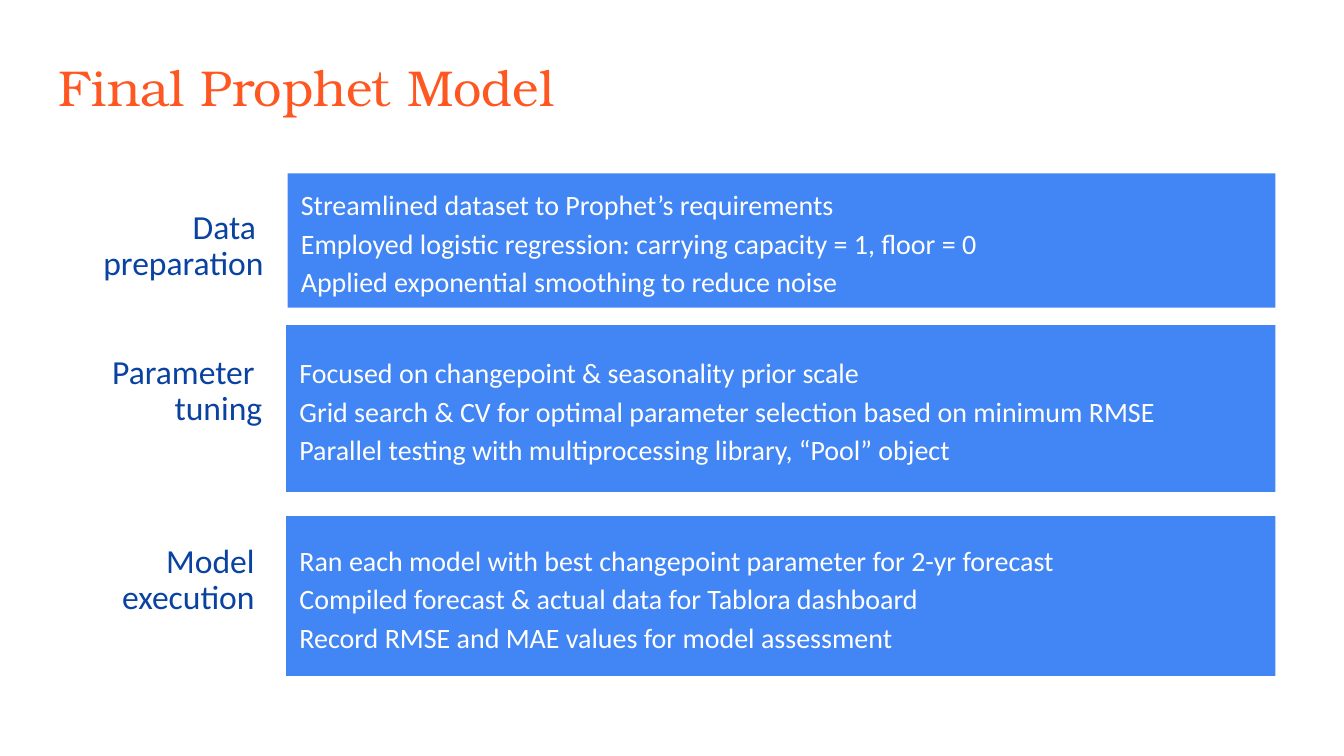
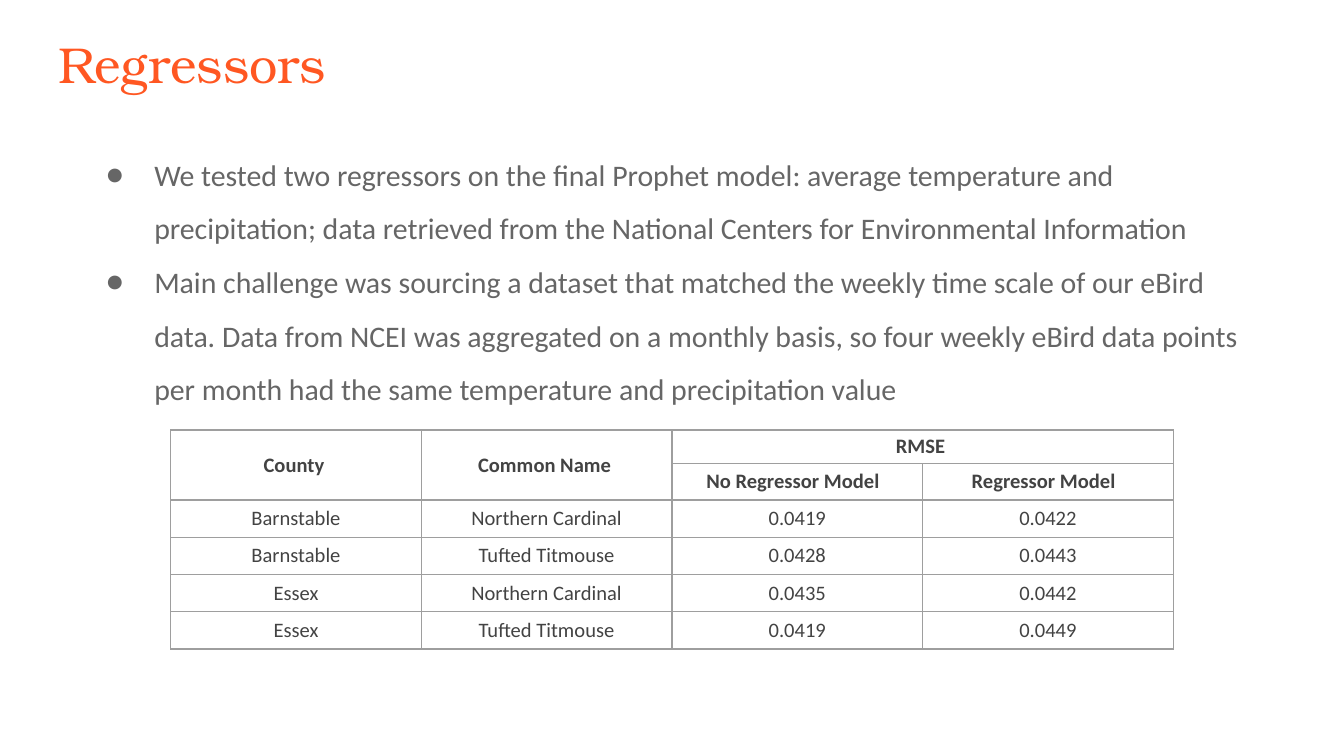
import dataclasses
import typing

import lxml.etree
import pptx
import pptx.dml.color
import pptx.enum.shapes
import pptx.enum.text
import pptx.oxml.ns
import pptx.util

Inches = pptx.util.Inches
Pt = pptx.util.Pt
RGB = pptx.dml.color.RGBColor.from_string
ALIGN = pptx.enum.text.PP_ALIGN
ANCHOR = pptx.enum.text.MSO_ANCHOR
Box = tuple[float, float, float, float]


# Theme and text styles
@dataclasses.dataclass(frozen=True)
class TextStyle:
    font: str
    size: float
    color: str
    bold: bool = False
    align: typing.Any = ALIGN.LEFT
    spacing: float = 1.0


@dataclasses.dataclass(frozen=True)
class Theme:
    background: str = "FFFFFF"
    band: str = "4285F4"
    rule: str = "9E9E9E"
    rule_width: float = 0.75
    title: TextStyle = TextStyle("TeX Gyre Bonum", 27, "FF5722")
    label: TextStyle = TextStyle("Calibri", 18, "0942A1", align=ALIGN.RIGHT, spacing=0.9)
    step: TextStyle = TextStyle("Calibri", 15, "FFFFFF", spacing=1.15)
    body: TextStyle = TextStyle("Calibri", 16, "666666", spacing=1.5)
    header: TextStyle = TextStyle("Calibri", 11, "434343", bold=True, align=ALIGN.CENTER)
    cell: TextStyle = TextStyle("Calibri", 11, "434343", align=ALIGN.CENTER)


THEME = Theme()


# Slide content
@dataclasses.dataclass(frozen=True)
class Stage:
    label: list[str]
    label_box: Box
    steps: list[str]
    steps_box: Box


STAGES = [
    Stage(
        ["Data ", "preparation"], (-0.31, 1.44, 2.37, 0.79),
        ["Streamlined dataset to Prophet’s requirements",
         "Employed logistic regression: carrying capacity = 1, floor = 0",
         "Applied exponential smoothing to reduce noise"],
        (2.14, 1.29, 7.35, 1),
    ),
    Stage(
        ["Parameter ", "tuning"], (-0.43, 2.57, 2.48, 0.69),
        ["Focused on changepoint & seasonality prior scale",
         "Grid search & CV for optimal parameter selection based on minimum RMSE",
         "Parallel testing with multiprocessing library, “Pool” object"],
        (2.13, 2.42, 7.36, 1.24),
    ),
    Stage(
        ["Model ", "execution "], (-0.43, 4.04, 2.48, 0.56),
        ["Ran each model with best changepoint parameter for 2-yr forecast",
         "Compiled forecast & actual data for Tablora dashboard",
         "Record RMSE and MAE values for model assessment"],
        (2.13, 3.84, 7.36, 1.19),
    ),
]

FINDINGS = [
    "We tested two regressors on the final Prophet model: average temperature and "
    "precipitation; data retrieved from the National Centers for Environmental Information",
    "Main challenge was sourcing a dataset that matched the weekly time scale of our eBird "
    "data. Data from NCEI was aggregated on a monthly basis, so four weekly eBird data points "
    "per month had the same temperature and precipitation value",
]

HEADER_ROWS = 2
RMSE_ROWS = [
    ["County", "Common Name", "RMSE", ""],
    ["", "", "No Regressor Model ", "Regressor Model "],
    ["Barnstable", "Northern Cardinal", "0.0419", "0.0422"],
    ["Barnstable", "Tufted Titmouse", "0.0428", "0.0443"],
    ["Essex", "Northern Cardinal", "0.0435", "0.0442"],
    ["Essex", "Tufted Titmouse", "0.0419", "0.0449"],
]
ROW_HEIGHTS = [0.25, 0.27] + [1.11 / 4] * 4
TABLE_WIDTH = 7.46
MERGES = [((0, 0), (1, 0)), ((0, 1), (1, 1)), ((0, 2), (0, 3))]


# Drawing helpers
def apply(target: typing.Any, values: dict[str, typing.Any]) -> None:
    for name, value in values.items():
        setattr(target, name, value)


def inches(box: Box) -> list[int]:
    return [Inches(length) for length in box]


def margins(left: float, top: float, right: float, bottom: float) -> dict[str, int]:
    sides = ("left", "top", "right", "bottom")
    return {f"margin_{side}": Inches(size)
            for side, size in zip(sides, (left, top, right, bottom))}


def add_bullet(paragraph: typing.Any, style: TextStyle) -> None:
    properties = paragraph._p.get_or_add_pPr()
    properties.set("marL", str(Inches(0.5)))
    properties.set("indent", str(Inches(-0.36)))
    qn = pptx.oxml.ns.qn
    bullet_color = lxml.etree.SubElement(properties, qn("a:buClr"))
    lxml.etree.SubElement(bullet_color, qn("a:srgbClr"), val=style.color)
    lxml.etree.SubElement(properties, qn("a:buFont"), typeface=style.font)
    lxml.etree.SubElement(properties, qn("a:buChar"), char="●")


def write(frame: typing.Any, lines: list[str], style: TextStyle, bulleted: bool = False) -> None:
    for index, line in enumerate(lines):
        paragraph = frame.add_paragraph() if index else frame.paragraphs[0]
        if bulleted:
            add_bullet(paragraph, style)
        apply(paragraph, {"alignment": style.align, "line_spacing": style.spacing})
        run = paragraph.add_run()
        run.text = line
        apply(run.font, {"name": style.font, "size": Pt(style.size), "bold": style.bold})
        run.font.color.rgb = RGB(style.color)


def add_text(shapes: typing.Any, box: Box, lines: list[str], style: TextStyle,
             anchor: typing.Any = ANCHOR.TOP, inset: float = 0.1, bulleted: bool = False) -> None:
    frame = shapes.add_textbox(*inches(box)).text_frame
    apply(frame, {"word_wrap": True, "vertical_anchor": anchor,
                  **margins(0.1, inset, 0.1, inset)})
    write(frame, lines, style, bulleted)


def add_titled_slide(deck: typing.Any, title: str, top: float) -> typing.Any:
    slide = deck.slides.add_slide(deck.slide_layouts[6])
    slide.background.fill.solid()
    slide.background.fill.fore_color.rgb = RGB(THEME.background)
    add_text(slide.shapes, (0.34, top, 9.32, 0.63), [title], THEME.title)
    return slide


def add_stage(slide: typing.Any, stage: Stage) -> None:
    group = slide.shapes.add_group_shape()
    add_text(group.shapes, stage.label_box, stage.label, THEME.label, ANCHOR.MIDDLE, 0.05)
    band = group.shapes.add_shape(
        pptx.enum.shapes.MSO_SHAPE.RECTANGLE, *inches(stage.steps_box))
    band.shadow.inherit = False
    band.fill.solid()
    band.fill.fore_color.rgb = RGB(THEME.band)
    band.line.fill.background()
    apply(band.text_frame, {"word_wrap": True, "vertical_anchor": ANCHOR.MIDDLE,
                            **margins(0.1, 0.05, 0.1, 0.05)})
    write(band.text_frame, stage.steps, THEME.step)


def add_borders(cell: typing.Any) -> None:
    properties = cell._tc.get_or_add_tcPr()
    qn = pptx.oxml.ns.qn
    for position, edge in enumerate(("a:lnL", "a:lnR", "a:lnT", "a:lnB")):
        line = lxml.etree.Element(qn(edge), w=str(Pt(THEME.rule_width)))
        fill = lxml.etree.SubElement(line, qn("a:solidFill"))
        lxml.etree.SubElement(fill, qn("a:srgbClr"), val=THEME.rule)
        properties.insert(position, line)


def add_rmse_table(slide: typing.Any, left: float, top: float) -> None:
    columns = len(RMSE_ROWS[0])
    table = slide.shapes.add_table(
        len(RMSE_ROWS), columns,
        *inches((left, top, TABLE_WIDTH, sum(ROW_HEIGHTS)))).table
    apply(table, {"first_row": False, "horz_banding": False})
    for column in table.columns:
        column.width = Inches(TABLE_WIDTH / columns)
    for row, height in zip(table.rows, ROW_HEIGHTS):
        row.height = Inches(height)
    for first, last in MERGES:
        table.cell(*first).merge(table.cell(*last))
    for row_index, values in enumerate(RMSE_ROWS):
        is_header = row_index < HEADER_ROWS
        insets = margins(0, 0, 0.03, 0) if is_header else margins(0.03, 0.03, 0.03, 0.03)
        for column_index, value in enumerate(values):
            cell = table.cell(row_index, column_index)
            apply(cell, {"vertical_anchor": ANCHOR.MIDDLE, **insets})
            cell.fill.background()
            add_borders(cell)
            write(cell.text_frame, [value], THEME.header if is_header else THEME.cell)


def main() -> None:
    deck = pptx.Presentation()
    # Widescreen, 16:9
    width = Inches(10)
    apply(deck, {"slide_width": width, "slide_height": width * 9 // 16})

    # Final model: three stages
    model_slide = add_titled_slide(deck, "Final Prophet Model", 0.32)
    for stage in STAGES:
        add_stage(model_slide, stage)

    # Regressors: findings and RMSE comparison
    regressor_slide = add_titled_slide(deck, "Regressors", 0.15)
    add_text(regressor_slide.shapes, (0.55, 0.93, 8.9, 4.3), FINDINGS, THEME.body, bulleted=True)
    add_rmse_table(regressor_slide, 1.27, 3.2)

    deck.save("out.pptx")


if __name__ == "__main__":
    main()
